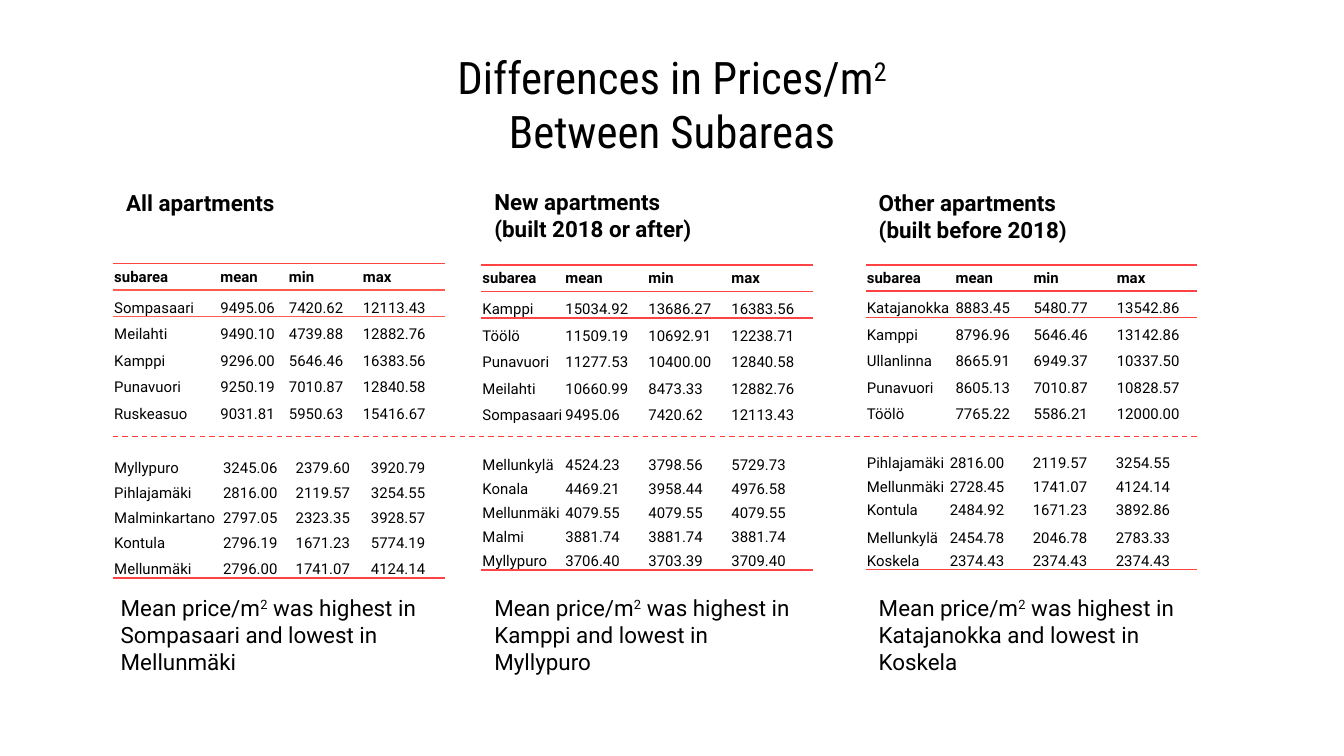
from pptx import Presentation
from pptx.dml.color import RGBColor
from pptx.enum.dml import MSO_LINE
from pptx.enum.shapes import MSO_CONNECTOR
from pptx.enum.text import MSO_ANCHOR, PP_ALIGN
from pptx.oxml.ns import qn
from pptx.util import Inches, Pt
from lxml import etree

BOTTOM, MIDDLE = MSO_ANCHOR.BOTTOM, MSO_ANCHOR.MIDDLE
TOP, CENTER, LEFT = MSO_ANCHOR.TOP, PP_ALIGN.CENTER, PP_ALIGN.LEFT
DASH, STRAIGHT = MSO_LINE.DASH, MSO_CONNECTOR.STRAIGHT

BODY_FONT, TITLE_FONT = "Roboto", "Roboto Condensed"
BLACK, RED, LIGHT_RED = "000000", "FF4242", "FF5B4F"
NO_GRID_STYLE = "{2D5ABB26-0587-4C30-8999-92F81FD0307C}"
PANEL_WIDTH = 2.47
EVEN_COLUMNS = [PANEL_WIDTH / 4] * 4
HEADER = "subarea mean min max"

PANELS = [
    dict(
        left=0.84, heading="All apartments", heading_top=1.36, caption_left=0.8,
        highest="Sompasaari", lowest="Mellunmäki", rule_color=LIGHT_RED,
        top_table=dict(top=1.96, columns=[0.79, 0.51, 0.55, 0.62], heights=[1.19 / 6] * 6),
        bottom_table=dict(top=3.36, columns=[0.81, 0.54, 0.56, 0.56], heights=[0.94 / 5] * 5),
        dearest=["Sompasaari 9495.06 7420.62 12113.43",
                 "Meilahti 9490.10 4739.88 12882.76",
                 "Kamppi 9296.00 5646.46 16383.56",
                 "Punavuori 9250.19 7010.87 12840.58",
                 "Ruskeasuo 9031.81 5950.63 15416.67"],
        cheapest=["Myllypuro 3245.06 2379.60 3920.79",
                  "Pihlajamäki 2816.00 2119.57 3254.55",
                  "Malminkartano 2797.05 2323.35 3928.57",
                  "Kontula 2796.19 1671.23 5774.19",
                  "Mellunmäki 2796.00 1741.07 4124.14"],
    ),
    dict(
        left=3.58, heading="New apartments\n(built 2018 or after)", heading_top=1.35,
        caption_left=3.58, highest="Kamppi", lowest="Myllypuro", rule_color=RED,
        top_table=dict(top=1.97, columns=EVEN_COLUMNS, heights=[1.19 / 6] * 6),
        bottom_table=dict(top=3.35, columns=EVEN_COLUMNS, heights=[0.89 / 5] * 5),
        dearest=["Kamppi 15034.92 13686.27 16383.56",
                 "Töölö 11509.19 10692.91 12238.71",
                 "Punavuori 11277.53 10400.00 12840.58",
                 "Meilahti 10660.99 8473.33 12882.76",
                 "Sompasaari 9495.06 7420.62 12113.43"],
        cheapest=["Mellunkylä 4524.23 3798.56 5729.73",
                  "Konala 4469.21 3958.44 4976.58",
                  "Mellunmäki 4079.55 4079.55 4079.55",
                  "Malmi 3881.74 3881.74 3881.74",
                  "Myllypuro 3706.40 3703.39 3709.40"],
    ),
    dict(
        left=6.44, heading="Other apartments\n(built before 2018)", heading_top=1.36,
        caption_left=6.44, highest="Katajanokka", lowest="Koskela", rule_color=RED,
        top_table=dict(top=1.97, columns=[0.66, 0.58, 0.62, 0.61], heights=[1.18 / 6] * 6),
        bottom_table=dict(top=3.35, columns=EVEN_COLUMNS, heights=[0.16, 0.18, 0.17, 0.21, 0.17]),
        dearest=["Katajanokka 8883.45 5480.77 13542.86",
                 "Kamppi 8796.96 5646.46 13142.86",
                 "Ullanlinna 8665.91 6949.37 10337.50",
                 "Punavuori 8605.13 7010.87 10828.57",
                 "Töölö 7765.22 5586.21 12000.00"],
        cheapest=["Pihlajamäki 2816.00 2119.57 3254.55",
                  "Mellunmäki 2728.45 1741.07 4124.14",
                  "Kontula 2484.92 1671.23 3892.86",
                  "Mellunkylä 2454.78 2046.78 2783.33",
                  "Koskela 2374.43 2374.43 2374.43"],
    ),
]


def color(value):
    return RGBColor.from_string(value)


def style_font(font, size, name=BODY_FONT, bold=False):
    font.size, font.name, font.bold = Pt(size), name, bold
    font.color.rgb = color(BLACK)


def add_text(page, left, top, width, height, lines, size, name=BODY_FONT,
             bold=False, align=LEFT, anchor=TOP):
    """Each line is a list of spans; every second span is superscript."""
    box = page.shapes.add_textbox(Inches(left), Inches(top), Inches(width), Inches(height))
    frame = box.text_frame
    frame.word_wrap = True
    frame.vertical_anchor = anchor
    for index, spans in enumerate(lines):
        para = frame.paragraphs[0] if index == 0 else frame.add_paragraph()
        para.alignment = align
        for position, text in enumerate(spans):
            span = para.add_run()
            span.text = text
            style_font(span.font, size, name, bold)
            if position % 2:
                span.font._element.set("baseline", "30000")


def add_border(cell, side, value):
    line = etree.SubElement(cell._tc.get_or_add_tcPr(), qn(f"a:ln{side}"), w=str(Pt(1)))
    fill = etree.SubElement(line, qn("a:solidFill"))
    etree.SubElement(fill, qn("a:srgbClr"), val=value)


def add_price_table(page, left, top, columns, heights, rules, rows, has_header=False):
    """Each rule is (row, side, colour) and runs along the whole row."""
    frame = page.shapes.add_table(len(rows), len(columns), Inches(left), Inches(top),
                                  Inches(sum(columns)), Inches(sum(heights)))
    table = frame.table
    table.first_row = table.horz_banding = False
    table._tbl.tblPr.find(qn("a:tableStyleId")).text = NO_GRID_STYLE
    for column, width in zip(table.columns, columns):
        column.width = Inches(width)
    for index, (row, height, values) in enumerate(zip(table.rows, heights, rows)):
        row.height = Inches(height)
        is_header = has_header and index == 0
        for cell, text in zip(row.cells, values.split()):
            cell.text_frame.text = text
            style_font(cell.text_frame.paragraphs[0].runs[0].font, 8, bold=is_header)
            cell.vertical_anchor = MIDDLE if is_header else BOTTOM
            cell.margin_left = cell.margin_right = cell.margin_top = Inches(0.01)
            cell.margin_bottom = 0
            for rule_row, side, value in rules:
                if rule_row == index:
                    add_border(cell, side, value)
            cell.fill.background()


def add_panel(page, left, heading, heading_top, caption_left, highest, lowest,
              rule_color, top_table, bottom_table, dearest, cheapest):
    lines = heading.split("\n")
    add_text(page, left, heading_top, PANEL_WIDTH, 0.1 + 0.2 * len(lines),
             [[line] for line in lines], 12, bold=True)
    header_rules = [(0, "T", RED), (0, "B", rule_color),
                    (1, "T", rule_color), (1, "B", rule_color)]
    add_price_table(page, left, rows=[HEADER] + dearest, rules=header_rules,
                    has_header=True, **top_table)
    add_price_table(page, left, rows=cheapest, rules=[(4, "B", RED)], **bottom_table)
    caption = ["Mean price/m", "2", f" was highest in {highest} and lowest in {lowest}"]
    add_text(page, caption_left, 4.37, PANEL_WIDTH, 0.71, [caption], 12)


def add_divider(page, left, right, top):
    line = page.shapes.add_connector(STRAIGHT, Inches(left), Inches(top), Inches(right), Inches(top))
    line.line.color.rgb = color("FE3C3C")
    line.line.width = Pt(0.75)
    line.line.dash_style = DASH
    etree.SubElement(line._element.spPr, qn("a:effectLst"))


def main():
    deck = Presentation()
    deck.slide_width = Inches(10)
    deck.slide_height = deck.slide_width * 9 // 16
    page = deck.slides.add_slide(deck.slide_layouts[6])
    add_text(page, 2.89, 0.54, 4.22, 0.46, [["Differences in Prices/m", "2", " Between Subareas"]],
             24, TITLE_FONT, align=CENTER, anchor=MIDDLE)
    for panel in PANELS:
        add_panel(page, **panel)
    add_divider(page, 0.84, 8.92, 3.25)
    deck.save("out.pptx")


if __name__ == "__main__":
    main()
